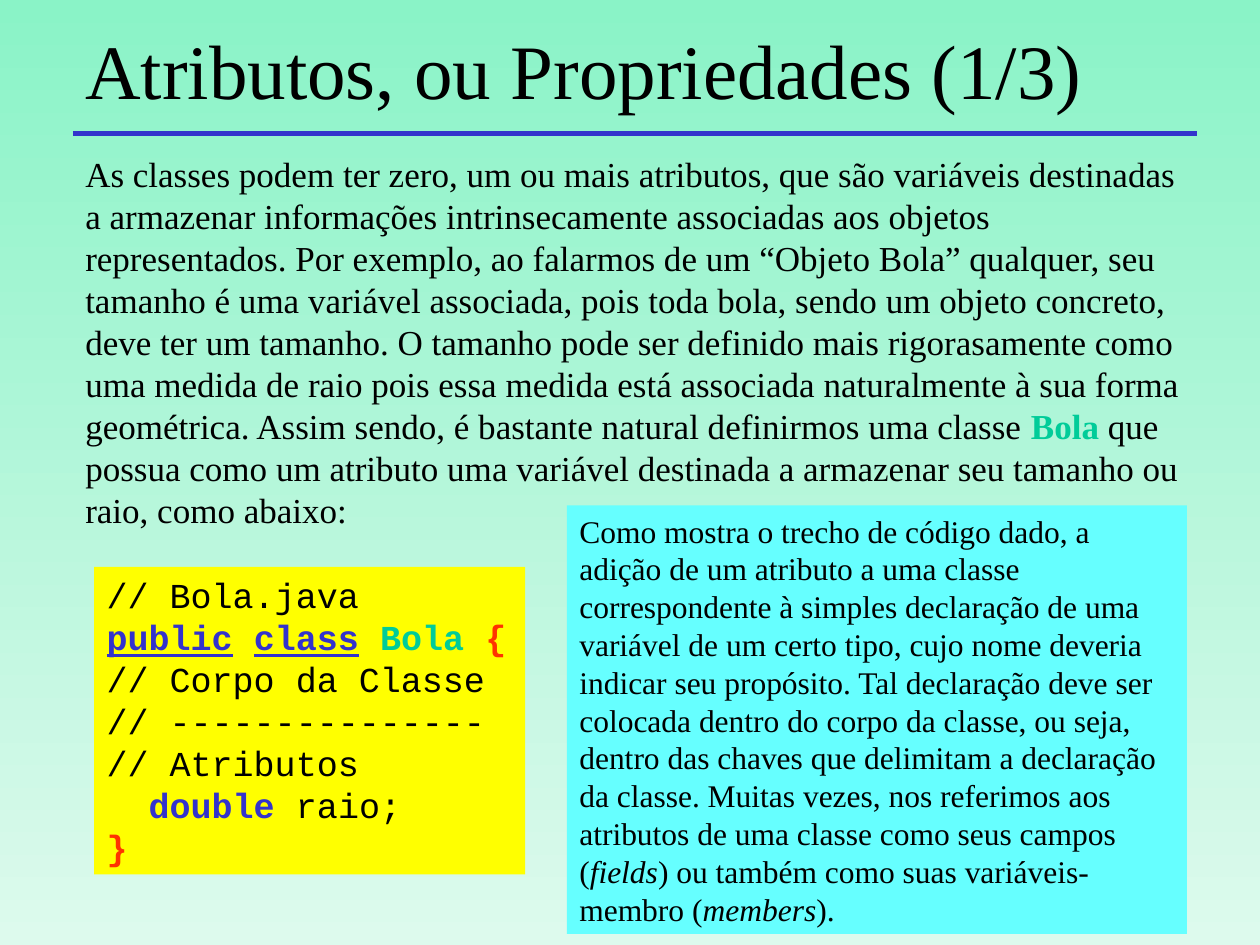
from dataclasses import dataclass

from pptx import Presentation, util as u
from pptx.dml.color import RGBColor
from pptx.enum import shapes, text
from pptx.oxml.ns import qn
from pptx.slide import Slide


@dataclass(frozen=True)
class Theme:
    sky: str = "8AF3C7"
    mist: str = "DDFAED"
    ink: str = "000000"
    keyword: str = "3333CC"
    class_name: str = "00CC99"
    brace: str = "FF3300"
    note_fill: str = "66FFFF"
    code_fill: str = "FFFF00"
    serif: str = "Times New Roman"
    mono: str = "Courier New"
    title_size: int = 44
    body_size: int = 20
    note_size: int = 18


@dataclass(frozen=True)
class Span:
    words: str
    color: str | None = None
    bold: bool | None = None
    italic: bool | None = None
    underline: bool | None = None


@dataclass(frozen=True)
class Panel:
    left: float
    top: float
    width: float
    height: float
    lines: list[list[Span]]
    size: int
    face: str
    fill: str | None = None
    anchor: text.MSO_ANCHOR = text.MSO_ANCHOR.TOP


THEME = Theme()


def keyword(words: str, underline: bool | None = None) -> Span:
    return Span(words, THEME.keyword, bold=True, underline=underline)


def brace(words: str) -> Span:
    return Span(words, THEME.brace, bold=True)


HEADING = [[Span("Atributos, ou Propriedades (1/3)")]]

EXPLANATION = [[
    Span("As classes podem ter zero, um ou mais atributos, que são variáveis destinadas a armazenar "
         "informações intrinsecamente associadas aos objetos representados. Por exemplo, ao falarmos "
         "de um “Objeto Bola” qualquer, seu tamanho é uma variável associada, pois toda bola, sendo "
         "um objeto concreto, deve ter um tamanho. O tamanho pode ser definido mais rigorasamente "
         "como uma medida de raio pois essa medida está associada naturalmente à sua forma "
         "geométrica. Assim sendo, é bastante natural definirmos uma classe "),
    Span("Bola", THEME.class_name, bold=True),
    Span(" que possua como um atributo uma variável destinada a armazenar seu tamanho ou raio, "
         "como abaixo:"),
]]

NOTE = [[
    Span("Como mostra o trecho de código dado, a adição de um atributo a uma classe correspondente à "
         "simples declaração de uma variável de um certo tipo, cujo nome deveria indicar seu "
         "propósito. Tal declaração deve ser colocada dentro do corpo da classe, ou seja, dentro das "
         "chaves que delimitam a declaração da classe. Muitas vezes, nos referimos aos atributos de "
         "uma classe como seus campos ("),
    Span("fields", italic=True),
    Span(") ou também como suas variáveis-membro ("),
    Span("members", italic=True),
    Span(")."),
]]

CODE = [
    [Span("// Bola.java")],
    [keyword("public", underline=True), Span(" ", bold=True), keyword("class", underline=True),
     Span(" ", bold=True), Span("Bola ", THEME.class_name, bold=True), brace("{")],
    [Span("// Corpo da Classe")],
    [Span("// ---------------")],
    [Span("// Atributos")],
    [keyword("  double"), Span(" raio;")],
    [brace("}")],
]

PANELS = [
    Panel(1.47, 0.43, 21.59, 1.9, HEADING, THEME.title_size, THEME.serif,
          anchor=text.MSO_ANCHOR.MIDDLE),
    Panel(1.47, 2.95, 22.66, 7.87, EXPLANATION, THEME.body_size, THEME.serif),
    Panel(11.43, 10.19, 12.5, 8.64, NOTE, THEME.note_size, THEME.serif, THEME.note_fill),
    Panel(1.9, 11.43, 8.69, 6.2, CODE, THEME.body_size, THEME.mono, THEME.code_fill),
]


def draw_background(slide: Slide) -> None:
    fill = slide.background.fill
    fill.gradient()
    fill.gradient_angle = 270
    for stop, color in zip(fill.gradient_stops, (THEME.sky, THEME.mist)):
        stop.color.rgb = RGBColor.from_string(color)


def draw_rule(slide: Slide, left: float, right: float, y: float) -> None:
    rule = slide.shapes.add_connector(
        shapes.MSO_CONNECTOR.STRAIGHT, u.Cm(left), u.Cm(y), u.Cm(right), u.Cm(y))
    rule.line.color.rgb = RGBColor.from_string(THEME.keyword)
    rule.line.width = u.Pt(3)
    properties = rule._element.spPr
    properties.append(properties.makeelement(qn("a:effectLst"), {}))


def draw_panel(slide: Slide, panel: Panel) -> None:
    area = [u.Cm(side) for side in (panel.left, panel.top, panel.width, panel.height)]
    if panel.fill:
        box = slide.shapes.add_shape(shapes.MSO_SHAPE.RECTANGLE, *area)
        box.shadow.inherit = False
        box.fill.solid()
        box.fill.fore_color.rgb = RGBColor.from_string(panel.fill)
        box.line.fill.background()
    else:
        box = slide.shapes.add_textbox(*area)
    frame = box.text_frame
    frame.word_wrap = True
    frame.vertical_anchor = panel.anchor
    for index, line in enumerate(panel.lines):
        paragraph = frame.add_paragraph() if index else frame.paragraphs[0]
        paragraph.alignment = text.PP_ALIGN.LEFT
        paragraph.font.name = panel.face
        paragraph.font.size = u.Pt(panel.size)
        paragraph.font.color.rgb = RGBColor.from_string(THEME.ink)
        for span in line:
            run = paragraph.add_run()
            run.text = span.words
            run.font.bold = span.bold
            run.font.italic = span.italic
            run.font.underline = span.underline
            if span.color:
                run.font.color.rgb = RGBColor.from_string(span.color)


def main() -> None:
    """Build the slide on class attributes and save it."""
    deck = Presentation()
    deck.slide_width, deck.slide_height = u.Cm(25.4), u.Cm(19.05)
    slide = deck.slides.add_slide(deck.slide_layouts[6])
    draw_background(slide)
    heading, explanation, *boxes = PANELS
    draw_panel(slide, heading)
    draw_panel(slide, explanation)
    draw_rule(slide, 1.47, 24.13, 2.69)
    for box in boxes:
        draw_panel(slide, box)
    deck.save("out.pptx")


if __name__ == "__main__":
    main()
